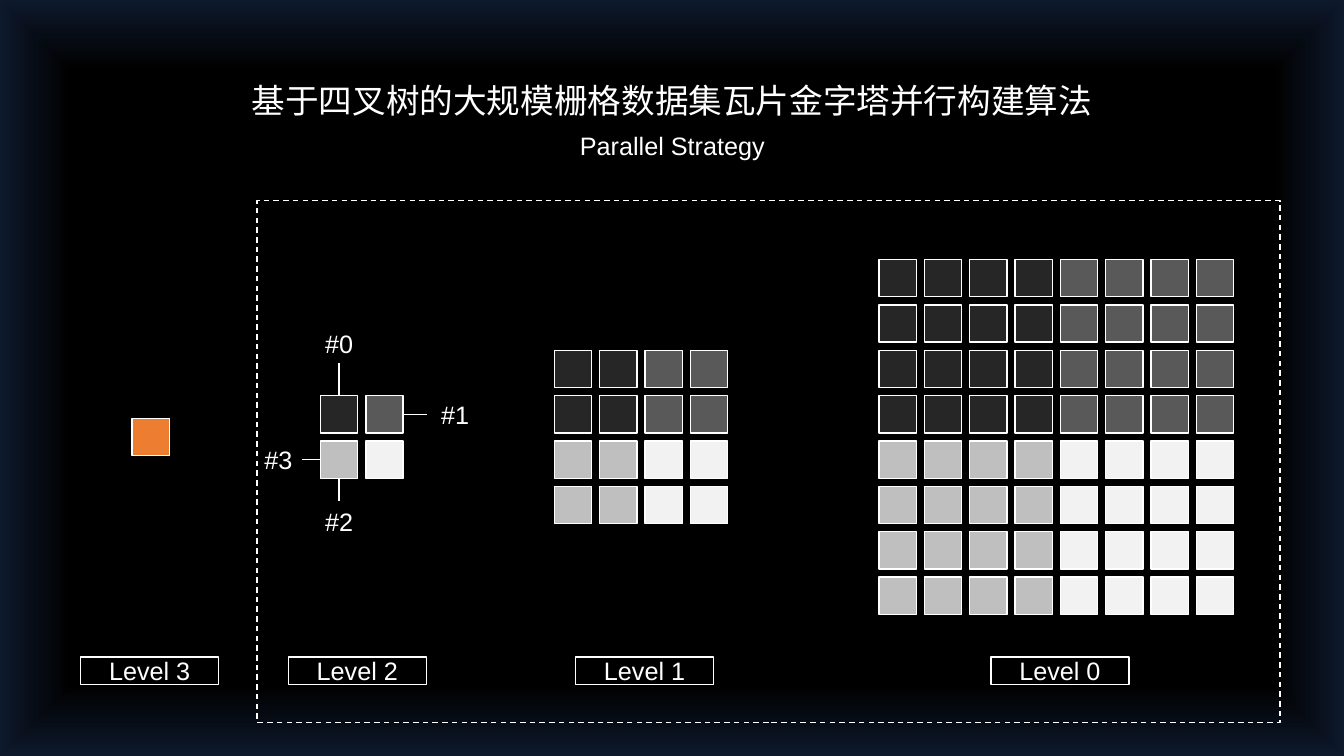
from dataclasses import dataclass

from lxml.etree import SubElement
from pptx import Presentation
from pptx.dml.color import RGBColor
from pptx.enum.dml import MSO_LINE_DASH_STYLE as Dash
from pptx.enum.shapes import MSO_CONNECTOR as Connector, MSO_SHAPE as Shape
from pptx.enum.text import MSO_ANCHOR as Anchor, MSO_AUTO_SIZE as AutoSize, PP_ALIGN as Align
from pptx.oxml import parse_xml
from pptx.oxml.ns import nsdecls, qn
from pptx.util import Inches, Pt


@dataclass(frozen=True)
class Theme:
    ink: str = "FFFFFF"
    root: str = "ED7D31"
    quadrants: tuple = ("262626", "595959", "BFBFBF", "F2F2F2")
    backdrop: tuple = ((0, "000000"), (61, "000000"), (81, "000000"), (100, "0E192C"))
    title_font: str = "Noto Sans CJK SC"
    body_font: str = "Arial"
    title_size: int = 24
    body_size: int = 18
    line_width: int = 1


CELL = 0.1
SLIDE_COLUMNS, SLIDE_ROWS = 133.33, 75
TILE, PITCH = 3.7, 4.5
PYRAMID_MIDDLE = 43.35
LABEL_ROW, LABEL_COLUMNS, LABEL_ROWS = 65.2, 13.7, 2.7

LEVELS = (
    ("Level 0", 8, 87.2, 98.3),
    ("Level 1", 4, 55, 57.1),
    ("Level 2", 2, 31.8, 28.6),
    ("Level 3", 1, 13.1, 8),
)
PROCESSES = (
    ("#0", 0, 0, 0, -3.2, 30.8, 32.1, Align.CENTER),
    ("#1", 1, 3, 2.4, 0, 42.3, 39.1, Align.CENTER),
    ("#2", 2, 2, 0, 2.3, 30.8, 49.7, Align.CENTER),
    ("#3", 2, 1, -1.8, 0, 24.3, 43.6, Align.RIGHT),
)


def grid(*cells):
    return [Inches(cell * CELL) for cell in cells]


class Canvas:
    def __init__(self, slide, theme):
        self.slide = slide
        self.theme = theme

    def background(self):
        self.slide.background.fill.solid()
        properties = self.slide.element.find(".//" + qn("p:bgPr"))
        stops = "".join(
            f'<a:gs pos="{share * 1000}"><a:srgbClr val="{color}"/></a:gs>'
            for share, color in self.theme.backdrop
        )
        gradient = parse_xml(
            f'<a:gradFill {nsdecls("a")} rotWithShape="1"><a:gsLst>{stops}</a:gsLst>'
            '<a:path path="shape"><a:fillToRect l="50000" t="50000" r="50000" b="50000"/>'
            "</a:path></a:gradFill>"
        )
        properties.replace(properties[0], gradient)

    def add_words(self, shape, text, align, font_name, size):
        paragraph = shape.text_frame.paragraphs[0]
        paragraph.alignment = align
        paragraph.line_spacing = 1.0
        run = paragraph.add_run()
        run.text = text
        run.font.name = font_name
        run.font.size = Pt(size)
        run.font.color.rgb = RGBColor.from_string(self.theme.ink)
        SubElement(run.font._element, qn("a:ea")).set("typeface", self.theme.title_font)

    def title(self, text, left, top, columns, rows):
        shape = self.slide.shapes.title
        shape.left, shape.top, shape.width, shape.height = grid(left, top, columns, rows)
        frame = shape.text_frame
        frame.word_wrap = True
        frame.auto_size = AutoSize.SHAPE_TO_FIT_TEXT
        frame.vertical_anchor = Anchor.TOP
        self.add_words(shape, text, Align.CENTER, self.theme.title_font, self.theme.title_size)

    def text(self, text, left, top, columns, rows, align=Align.CENTER, wrap=True):
        shape = self.slide.shapes.add_textbox(*grid(left, top, columns, rows))
        shape.text_frame.word_wrap = wrap
        shape.text_frame.auto_size = AutoSize.SHAPE_TO_FIT_TEXT
        self.add_words(shape, text, align, self.theme.body_font, self.theme.body_size)

    def outline(self, line):
        line.color.rgb = RGBColor.from_string(self.theme.ink)
        line.width = Pt(self.theme.line_width)

    def box(self, left, top, columns, rows, fill=None):
        shape = self.slide.shapes.add_shape(Shape.RECTANGLE, *grid(left, top, columns, rows))
        shape.shadow.inherit = False
        if fill:
            shape.fill.solid()
            shape.fill.fore_color.rgb = RGBColor.from_string(fill)
        else:
            shape.fill.background()
        self.outline(shape.line)
        return shape

    def label(self, text, left):
        shape = self.box(left, LABEL_ROW, LABEL_COLUMNS, LABEL_ROWS)
        shape.text_frame.word_wrap = True
        shape.text_frame.vertical_anchor = Anchor.MIDDLE
        self.add_words(shape, text, Align.CENTER, self.theme.body_font, self.theme.body_size)

    def tiles(self, count, left):
        top = PYRAMID_MIDDLE - (count * PITCH - PITCH + TILE) / 2
        half = count // 2
        tiles = []
        for row in range(count):
            for column in range(count):
                quadrant = 2 * (row >= half) + (column >= half)
                fill = self.theme.quadrants[quadrant] if half else self.theme.root
                tiles.append(
                    self.box(left + column * PITCH, top + row * PITCH, TILE, TILE, fill)
                )
        return tiles

    def frame(self, left, top, columns, rows):
        self.box(left, top, columns, rows).line.dash_style = Dash.DASH

    def leader(self, tile, side, across, down):
        line = self.slide.shapes.add_connector(Connector.STRAIGHT, 0, 0, 0, 0)
        line.begin_connect(tile, side)
        reach_across, reach_down = grid(across, down)
        line.end_x = line.begin_x + reach_across
        line.end_y = line.begin_y + reach_down
        self.outline(line.line)
        SubElement(line._element.spPr, qn("a:effectLst"))


def main():
    presentation = Presentation()
    presentation.slide_width, presentation.slide_height = grid(SLIDE_COLUMNS, SLIDE_ROWS)
    slide = presentation.slides.add_slide(presentation.slide_layouts.get_by_name("Title Only"))
    canvas = Canvas(slide, Theme())

    canvas.background()
    canvas.title("基于四叉树的大规模栅格数据集瓦片金字塔并行构建算法", 23.8, 7.4, 85.7, 5)
    canvas.text("Parallel Strategy", 55.7, 12.4, 22, 4, wrap=False)

    level_tiles = {name: canvas.tiles(count, left) for name, count, left, _ in LEVELS}
    for name, _, _, label_left in reversed(LEVELS):
        canvas.label(name, label_left)
    canvas.frame(25.5, 19.9, 101.5, 51.8)

    for name, tile, side, across, down, left, top, align in PROCESSES:
        canvas.text(name, left, top, 5.7, 4, align)
        canvas.leader(level_tiles["Level 2"][tile], side, across, down)

    presentation.save("out.pptx")


if __name__ == "__main__":
    main()
